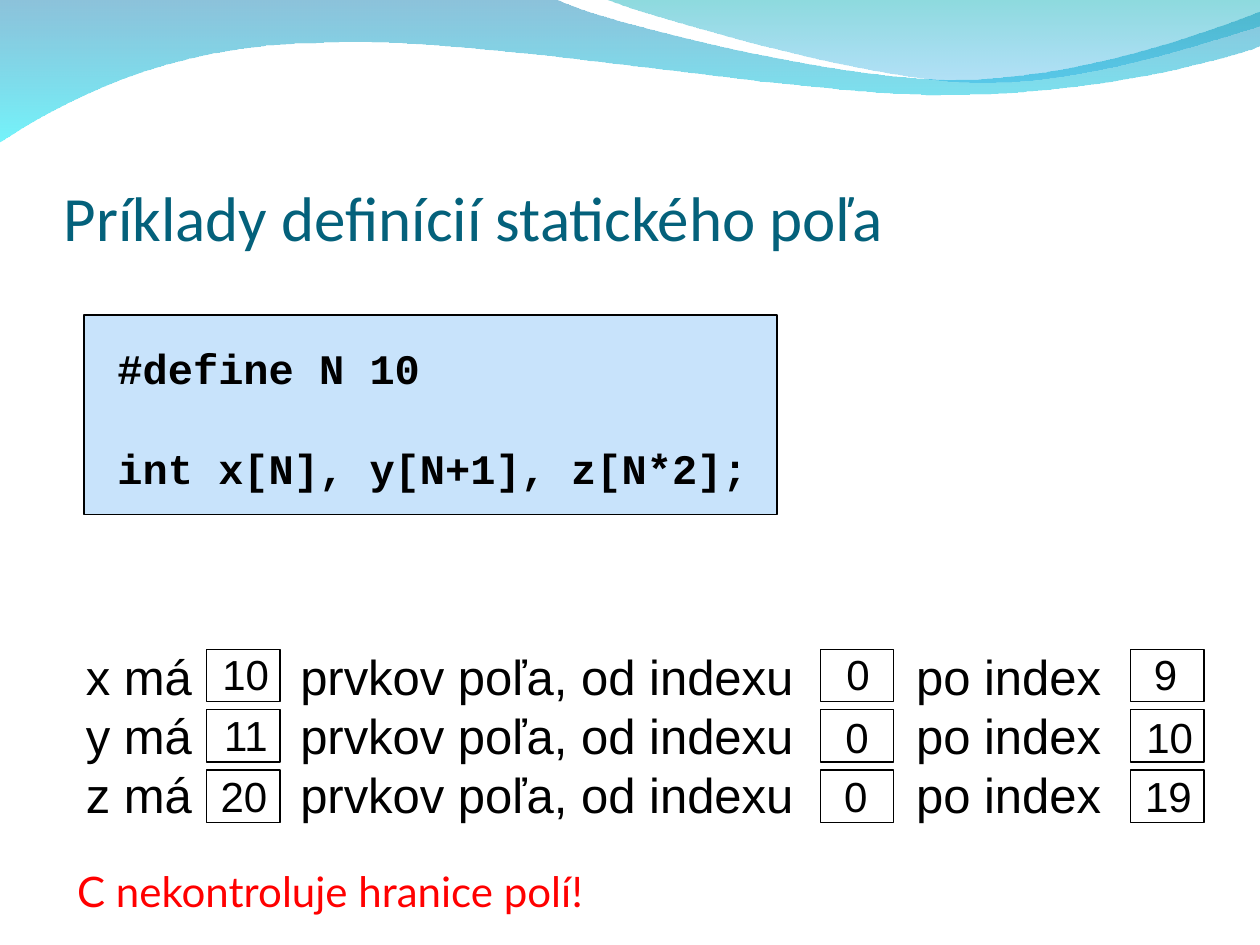
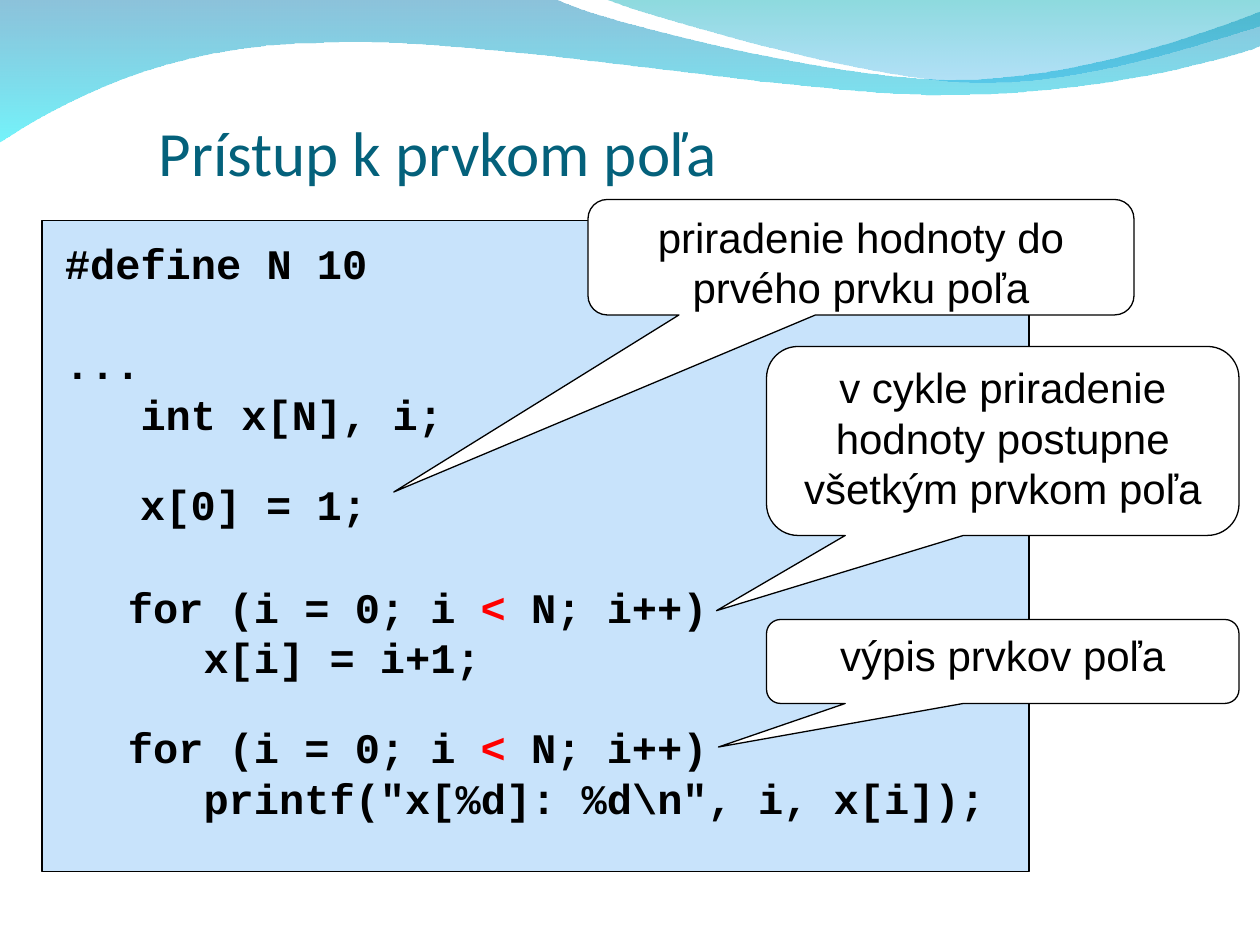
from dataclasses import dataclass
from typing import NamedTuple

from lxml import etree
from pptx import Presentation
from pptx.dml.color import RGBColor
from pptx.enum.shapes import MSO_SHAPE
from pptx.enum.text import MSO_ANCHOR, PP_ALIGN
from pptx.oxml.ns import qn
from pptx.util import Pt

RECTANGLE = MSO_SHAPE.RECTANGLE
CALLOUT = MSO_SHAPE.ROUNDED_RECTANGULAR_CALLOUT
TOP, BOTTOM = MSO_ANCHOR.TOP, MSO_ANCHOR.BOTTOM
LEFT, CENTER = PP_ALIGN.LEFT, PP_ALIGN.CENTER


# Theme
@dataclass(frozen=True)
class Theme:
    title_color: str = "04617B"
    text_color: str = "000000"
    alert_color: str = "FF0000"
    code_fill: str = "C8E3FB"
    callout_fill: str = "FFFFFF"
    title_font: str = "Calibri"
    body_font: str = "Arial"
    code_font: str = "Courier New"
    alert_font: str = "Lato"
    title_size: float = 36
    sentence_size: float = 28
    body_size: float = 24
    line_factor: float = 1.2
    outline: float = 0.75


THEME = Theme()


class Box(NamedTuple):
    left: float
    top: float
    width: float
    height: float


class Stop(NamedTuple):
    color: str
    opacity: int


class Wave(NamedTuple):
    start: tuple
    segments: tuple  # one point is a line, three points are a Bézier curve
    stops: tuple


class CodeBlock(NamedTuple):
    box: Box
    lines: tuple
    gap_before: tuple = ()  # lines preceded by an empty line


class Callout(NamedTuple):
    box: Box
    text: str
    tip: tuple


class Answer(NamedTuple):
    text: str
    left: float
    top: float


# Content
WAVES = (
    Wave((0, -0.72), (
        ((316.8, -0.72),),
        ((342.72, 12.24), (478.08, 45.36), (545.76, 45.36)),
        ((614.16, 45.36), (689.76, 18.72), (720, 6.48)),
        ((720.72, 25.92),),
        ((707.76, 31.68), (626.4, 54.72), (537.12, 54)),
        ((447.84, 54), (275.04, 20.16), (185.04, 24.48)),
        ((92.88, 25.2), (33.12, 59.76), (-0.72, 81.36)),
    ), (Stop("0079AF", 45), Stop("00EBF8", 55))),
    Wave((344.88, -0.72), (
        ((366.48, 7.92), (491.04, 44.64), (553.68, 46.8)),
        ((616.32, 49.68), (691.92, 23.04), (720, 15.12)),
        ((720, 0),),
    ), (Stop("00ADB6", 45), Stop("009BE5", 30))),
)

DEFINITIONS = CodeBlock(Box(60, 192, 378, 93.6),
                        ("#define N 10", "int x[N], y[N+1], z[N*2];"), (1,))

ARRAY_NAMES = ("x", "y", "z")
FRAME_LEFTS = (118, 468.7, 646)
FRAME_TOP, FRAME_STEP = 371, 34.5
FRAME_WIDTH, FRAME_HEIGHT = 42, 30
ANSWERS = (
    Answer("10", 120, 367), Answer("0", 476.5, 367), Answer("9", 652.3, 367),
    Answer("11", 121, 402), Answer("0", 476, 403), Answer("10", 648, 403),
    Answer("20", 119, 436.5), Answer("0", 475.2, 436.5),
    Answer("19", 647.3, 436.5),
)

LOOP_HEAD = "for (i = 0; i < N; i++)"
ACCESS_BLOCKS = (
    CodeBlock(Box(30, 132, 408, 122.4),
              ("#define N 10", "...", "   int x[N], i;"), (1,)),
    CodeBlock(Box(73, 270, 168, 64.8), ("x[0] = 1;",)),
    CodeBlock(Box(66, 328.5, 408, 64.8), (LOOP_HEAD, "   x[i] = i+1;")),
    CodeBlock(Box(66, 409, 522, 64.8),
              (LOOP_HEAD, '   printf("x[%d]: %d\\n", i, x[i]);')),
)
CALLOUTS = (
    Callout(Box(336, 114, 312, 66),
            "priradenie hodnoty do prvého prvku poľa", (225, 281.2)),
    Callout(Box(438, 198, 270, 108),
            "v cykle priradenie hodnoty postupne všetkým prvkom poľa",
            (409.4, 349)),
    Callout(Box(438, 354, 270, 48), "výpis prvkov poľa", (410.5, 426.9)),
)


# Text
def add_tabs(paragraph, positions) -> None:
    tab_list = etree.SubElement(paragraph._p.get_or_add_pPr(), qn("a:tabLst"))
    for position in positions:
        etree.SubElement(tab_list, qn("a:tab"), pos=str(Pt(position)), algn="l")


def write(shape, *lines: str, font=THEME.body_font, size=THEME.body_size,
          color=THEME.text_color, bold=False, align=LEFT, anchor=TOP,
          margins=(7.2, 3.6, 7.2, 3.6), wrap=True, fixed_pitch=True,
          gap_before=(), tabs=(), accent=None) -> None:
    frame = shape.text_frame
    frame.word_wrap = wrap
    frame.vertical_anchor = anchor
    (frame.margin_left, frame.margin_top,
     frame.margin_right, frame.margin_bottom) = map(Pt, margins)
    pitch = size * THEME.line_factor
    for index, line in enumerate(lines):
        paragraph = frame.add_paragraph() if index else frame.paragraphs[0]
        paragraph.alignment = align
        if fixed_pitch:
            paragraph.line_spacing = Pt(pitch)
        if index in gap_before:
            paragraph.space_before = Pt(pitch)
        if tabs:
            add_tabs(paragraph, tabs)
        for part in line.partition(accent) if accent else (line,):
            if not part:
                continue
            run = paragraph.add_run()
            run.text = part
            run.font.name, run.font.size, run.font.bold = font, Pt(size), bold
            run.font.color.rgb = RGBColor.from_string(
                THEME.alert_color if part == accent else color)


def add_text(slide, box: Box, *lines: str, **text_format) -> None:
    write(slide.shapes.add_textbox(*map(Pt, box)), *lines, **text_format)


# Shapes
def add_panel(slide, box: Box, kind=RECTANGLE, fill=None):
    shape = slide.shapes.add_shape(kind, *map(Pt, box))
    shape.shadow.inherit = False
    if fill:
        shape.fill.solid()
        shape.fill.fore_color.rgb = RGBColor.from_string(fill)
    else:
        shape.fill.background()
    shape.line.color.rgb = RGBColor.from_string(THEME.text_color)
    shape.line.width = Pt(THEME.outline)
    return shape


def add_code(slide, block: CodeBlock) -> None:
    add_text(slide, block.box, *block.lines, font=THEME.code_font, bold=True,
             gap_before=block.gap_before, accent="<")


def add_callout(slide, callout: Callout) -> None:
    box = callout.box
    shape = add_panel(slide, box, CALLOUT, THEME.callout_fill)
    shape.adjustments[0] = (callout.tip[0] - box.left) / box.width - 0.5
    shape.adjustments[1] = (callout.tip[1] - box.top) / box.height - 0.5
    write(shape, callout.text, align=CENTER)


def bend_segments(shape, segments: tuple) -> None:
    """Join each run of three straight segments into one Bézier curve."""
    lines = iter(list(shape._element.iter(qn("a:lnTo"))))
    for segment in segments:
        first, *others = [next(lines) for _ in segment]
        if others:
            first.tag = qn("a:cubicBezTo")
        for line in others:
            first.append(line[0])
            line.getparent().remove(line)


def add_wave(slide, wave: Wave) -> None:
    points = [(Pt(x), Pt(y)) for segment in wave.segments for x, y in segment]
    builder = slide.shapes.build_freeform(*map(Pt, wave.start))
    builder.add_line_segments(points, close=True)
    shape = builder.convert_to_shape()
    bend_segments(shape, wave.segments)
    shape.shadow.inherit = False
    shape.line.fill.background()
    shape.fill.gradient()
    shape.fill.gradient_angle = 270
    for gradient_stop, stop in zip(shape.fill.gradient_stops, wave.stops):
        gradient_stop.color.rgb = RGBColor.from_string(stop.color)
    colors = list(shape._element.spPr.iter(qn("a:srgbClr")))
    for color, stop in zip(colors, wave.stops):
        etree.SubElement(color, qn("a:alpha"), val=str(stop.opacity * 1000))


# Slides
def add_slide(presentation, title: str, title_box: Box):
    slide = presentation.slides.add_slide(presentation.slide_layouts[6])
    for wave in WAVES:
        add_wave(slide, wave)
    add_text(slide, title_box, title, font=THEME.title_font,
             size=THEME.title_size, color=THEME.title_color, anchor=BOTTOM,
             margins=(0, 3.6, 0, 0), fixed_pitch=False)
    return slide


def build_definitions(presentation) -> None:
    slide = add_slide(presentation, "Príklady definícií statického poľa",
                      Box(36.4, 55.4, 648, 90))
    add_panel(slide, Box(48, 180, 396, 114), fill=THEME.code_fill)
    add_code(slide, DEFINITIONS)

    # Sentences with a framed answer in each gap
    sentences = [f"{name} má\tprvkov poľa, od indexu\tpo index"
                 for name in ARRAY_NAMES]
    add_text(slide, Box(42, 366, 642, 108), *sentences,
             size=THEME.sentence_size, tabs=(122.5, 474.4))
    for row in range(len(ARRAY_NAMES)):
        for left in FRAME_LEFTS:
            add_panel(slide, Box(left, FRAME_TOP + row * FRAME_STEP,
                                 FRAME_WIDTH, FRAME_HEIGHT))
    for answer in ANSWERS:
        width = 14.4 + 13.35 * len(answer.text)
        add_text(slide, Box(answer.left, answer.top, width, 36), answer.text,
                 wrap=False)
    add_text(slide, Box(37, 491, 652, 36), "C nekontroluje hranice polí!",
             font=THEME.alert_font, color=THEME.alert_color, fixed_pitch=False)


def build_access(presentation) -> None:
    slide = add_slide(presentation, "Prístup k prvkom poľa",
                      Box(90.7, 49, 613.4, 59))
    add_panel(slide, Box(24, 126, 564, 372), fill=THEME.code_fill)
    add_code(slide, ACCESS_BLOCKS[0])
    for block, callout in zip(ACCESS_BLOCKS[1:], CALLOUTS):
        add_code(slide, block)
        add_callout(slide, callout)


def main() -> None:
    presentation = Presentation()
    presentation.slide_width, presentation.slide_height = Pt(720), Pt(540)
    build_definitions(presentation)
    build_access(presentation)
    presentation.save("out.pptx")


if __name__ == "__main__":
    main()
